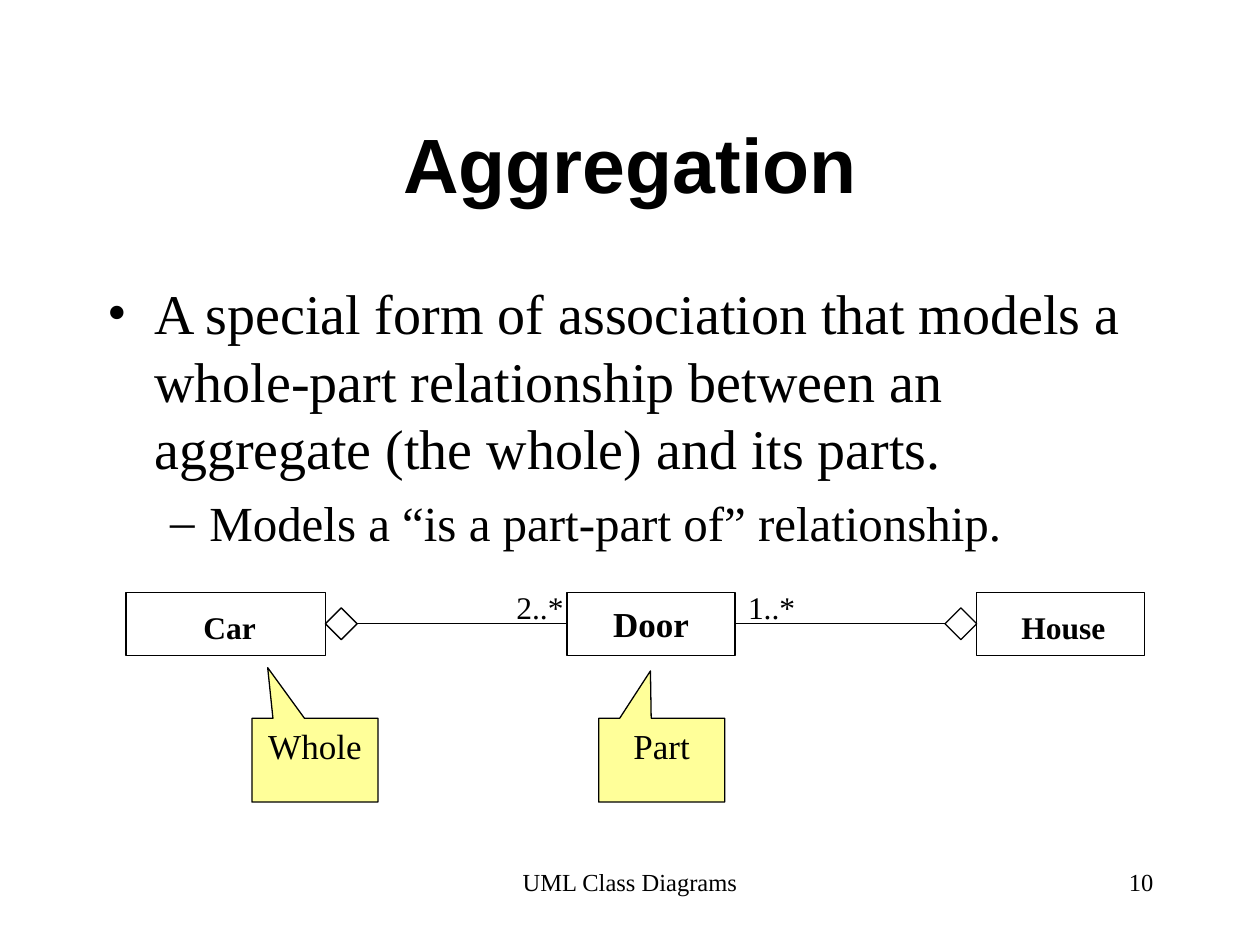
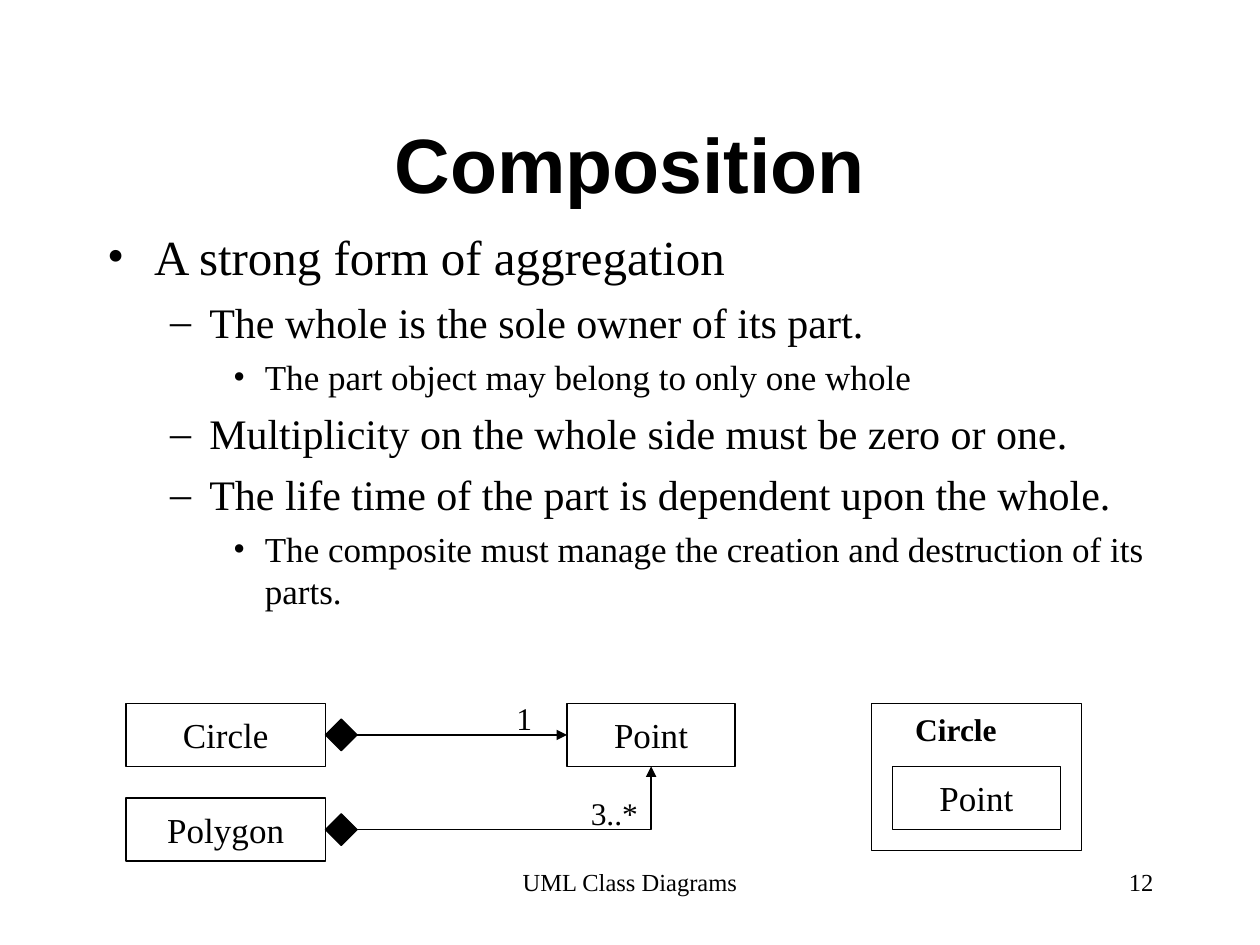
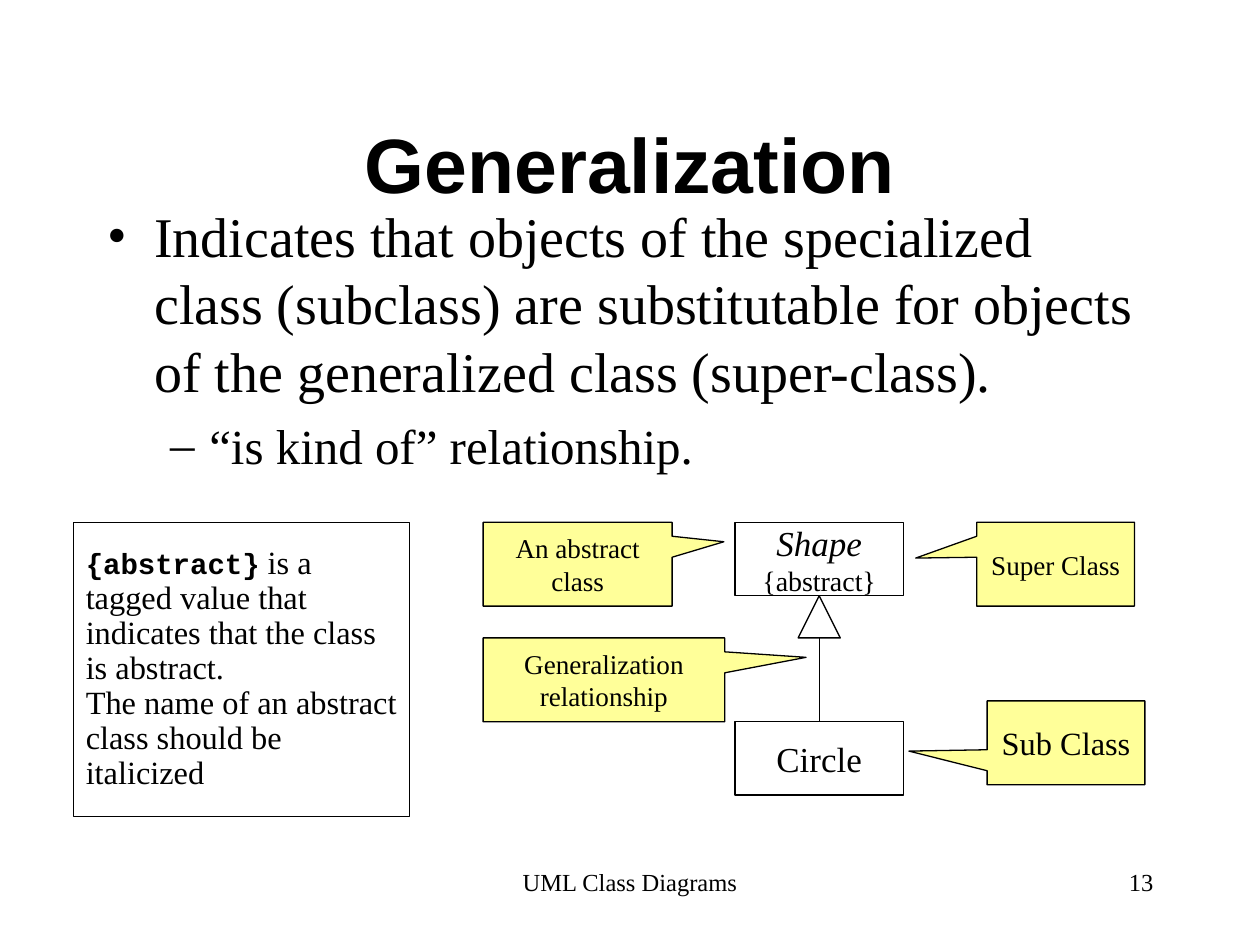
from pptx import Presentation
from pptx.dml.color import RGBColor
from pptx.enum.shapes import MSO_CONNECTOR, MSO_SHAPE
from pptx.enum.text import MSO_ANCHOR, PP_ALIGN
from pptx.oxml.ns import qn
from pptx.util import Cm, Pt
from lxml.etree import SubElement

BLACK = RGBColor(0x00, 0x00, 0x00)
WHITE = RGBColor(0xFF, 0xFF, 0xFF)
NOTE_YELLOW = RGBColor(0xFF, 0xFF, 0x99)

SERIF = {"name": "Times New Roman", "size": Pt(20), "bold": False, "italic": False}
TITLE = {"name": "Arial", "size": Pt(44), "bold": True}
FOOTER = {"size": Pt(14)}
CLASS_BOLD = {"size": Pt(18), "bold": True}
CLASS_DOOR = {"bold": True}
MULTIPLICITY = {"size": Pt(18)}
NOTE_SMALL = {"size": Pt(15.5)}
NOTE_LARGE = {"size": Pt(18.5)}
CODE = {"name": "Courier New", "size": Pt(16.6), "bold": True}

# Left indent, hanging indent (cm) and bullet sign of each body level
LEVELS = [(0.95, -0.95, "•"), (2.06, -0.79, "–"), (3.18, -0.64, "•")]

CLASS_HEIGHT = 1.27
WIDE, NARROW = 4.02, 3.39
DIAMOND = 0.64
DIAMOND_DROP = (CLASS_HEIGHT - DIAMOND) / 2


def add_box(slide, preset, place, runs=(), fill=None, align=PP_ALIGN.CENTER,
            anchor=MSO_ANCHOR.MIDDLE, wrap=True):
    """Add an outlined shape, or a plain text box if preset is None."""
    left, top, width, height = (Cm(value) for value in place)
    if preset is None:
        shape = slide.shapes.add_textbox(left, top, width, height)
    else:
        shape = slide.shapes.add_shape(preset, left, top, width, height)
        shape.shadow.inherit = False
        shape.line.color.rgb = BLACK
        shape.line.width = Pt(0.75)
        if fill is None:
            shape.fill.background()
        else:
            shape.fill.solid()
            shape.fill.fore_color.rgb = fill
    frame = shape.text_frame
    frame.word_wrap = wrap
    frame.vertical_anchor = anchor
    paragraph = frame.paragraphs[0]
    paragraph.alignment = align
    for text, text_format in runs:
        for number, line in enumerate(text.split("\n")):
            if number:
                paragraph.add_line_break()
            if line:
                run = paragraph.add_run()
                run.text = line
                run.font.color.rgb = BLACK
                for key, value in {**SERIF, **text_format}.items():
                    setattr(run.font, key, value)
    return shape


def join(slide, begin, begin_site, end, end_site, arrow=False, elbow=False):
    """Draw a line between connection sites of two shapes."""
    kind = MSO_CONNECTOR.ELBOW if elbow else MSO_CONNECTOR.STRAIGHT
    connector = slide.shapes.add_connector(kind, 0, 0, 0, 0)
    connector.begin_connect(begin, begin_site)
    connector.end_connect(end, end_site)
    connector.line.color.rgb = BLACK
    connector.line.width = Pt(0.75)
    properties = connector._element.spPr
    if elbow:
        properties.find(qn("a:prstGeom")).set("prst", "bentConnector2")
    if arrow:
        SubElement(connector.line._get_or_add_ln(), qn("a:tailEnd"), type="triangle")
    SubElement(properties, qn("a:effectLst"))


presentation = Presentation()
presentation.slide_width = Cm(25.4)
presentation.slide_height = Cm(19.05)

# Shared parts: page number, title, body top and height, body (level, size, text)
pages = [
    (10, "Aggregation", 5.5, 5.93, [
        (0, 32, "A special form of association that models a whole-part relationship "
                "between an aggregate (the whole) and its parts."),
        (1, 28, "Models a “is a part-part of” relationship."),
    ]),
    (12, "Composition", 4.45, 9.1, [
        (0, 28, "A strong form of aggregation"),
        (1, 24, "The whole is the sole owner of its part."),
        (2, 20, "The part object may belong to only one whole"),
        (1, 24, "Multiplicity on the whole side must be zero or one."),
        (1, 24, "The life time of the part is dependent upon the whole."),
        (2, 20, "The composite must manage the creation and destruction of its parts."),
    ]),
    (13, "Generalization", 3.94, 5.93, [
        (0, 32, "Indicates that objects of the specialized class (subclass) are "
                "substitutable for objects of the generalized class (super-class)."),
        (1, 28, "“is kind of” relationship."),
    ]),
]
slides = []
for page_number, title, body_top, body_height, body in pages:
    slide = presentation.slides.add_slide(presentation.slide_layouts[6])
    slide.background.fill.solid()
    slide.background.fill.fore_color.rgb = WHITE
    slides.append(slide)
    add_box(slide, None, (8.68, 17.36, 8.04, 1.27), [("UML Class Diagrams", FOOTER)],
            anchor=MSO_ANCHOR.TOP)
    add_box(slide, None, (18.2, 17.36, 5.3, 1.27), [(str(page_number), FOOTER)],
            align=PP_ALIGN.RIGHT, anchor=MSO_ANCHOR.TOP)
    add_box(slide, None, (1.91, 1.69, 21.59, 3.18), [(title, TITLE)])
    frame = add_box(slide, None, (1.91, body_top, 21.59, body_height),
                    anchor=MSO_ANCHOR.TOP).text_frame
    for number, (level, size, text) in enumerate(body):
        paragraph = frame.add_paragraph() if number else frame.paragraphs[0]
        margin, hanging, bullet = LEVELS[level]
        paragraph.alignment = PP_ALIGN.LEFT
        paragraph.level = level
        paragraph.space_before = Pt(size / 4 if number else 0)
        properties = paragraph._p.get_or_add_pPr()
        properties.set("marL", str(Cm(margin)))
        properties.set("indent", str(Cm(hanging)))
        SubElement(properties, qn("a:buFont"), typeface=SERIF["name"])
        SubElement(properties, qn("a:buChar"), char=bullet)
        run = paragraph.add_run()
        run.text = text
        run.font.color.rgb = BLACK
        for key, value in {**SERIF, "size": Pt(size)}.items():
            setattr(run.font, key, value)

aggregation, composition, generalization = slides

# Aggregation: callouts
for left, text, tip in [(5.08, "Whole", (-0.375, -1.104)),
                        (12.07, "Part", (-0.089, -1.065))]:
    note = add_box(aggregation, MSO_SHAPE.RECTANGULAR_CALLOUT, (left, 14.48, 2.54, 1.69),
                   [(text, {})], NOTE_YELLOW, anchor=MSO_ANCHOR.TOP)
    note.adjustments[0], note.adjustments[1] = tip

# Aggregation: two wholes sharing one part
row = 11.94
door = add_box(aggregation, MSO_SHAPE.RECTANGLE, (11.43, row, NARROW, CLASS_HEIGHT),
               [("Door", CLASS_DOOR)])
for name, left, width, label_left, label_width, diamond_left, whole_site, part_site in [
        ("Car", 2.54, WIDE, 2.79, 3.68, 6.56, 3, 1),
        ("House", 19.69, NARROW, 19.89, 3.1, 19.05, 1, 3)]:
    add_box(aggregation, MSO_SHAPE.RECTANGLE, (left, row, width, CLASS_HEIGHT))
    add_box(aggregation, None, (label_left, 12.14, label_width, 1.02), [(name, CLASS_BOLD)],
            anchor=MSO_ANCHOR.TOP)
    diamond = add_box(aggregation, MSO_SHAPE.DIAMOND,
                      (diamond_left, row + DIAMOND_DROP, DIAMOND, DIAMOND))
    join(aggregation, diamond, whole_site, door, part_site)

# Composition: owners and their shared part
point = add_box(composition, MSO_SHAPE.RECTANGLE, (11.43, 14.18, NARROW, CLASS_HEIGHT),
                [("Point", {})])
for name, top, site, elbow in [("Circle", 14.18, 1, False), ("Polygon", 16.09, 2, True)]:
    add_box(composition, MSO_SHAPE.RECTANGLE, (2.54, top, WIDE, CLASS_HEIGHT), [(name, {})])
    diamond = add_box(composition, MSO_SHAPE.DIAMOND,
                      (6.56, top + DIAMOND_DROP, DIAMOND, DIAMOND), fill=BLACK)
    join(composition, diamond, 3, point, site, arrow=True, elbow=elbow)

# Composition: nested notation
add_box(composition, MSO_SHAPE.RECTANGLE, (17.57, 14.18, 4.23, 2.96))
add_box(composition, MSO_SHAPE.RECTANGLE, (17.99, 15.45, NARROW, CLASS_HEIGHT),
        [("Point", {})])

# Multiplicities and the nested class name
for slide, text, left, top, width, text_format in [
        (aggregation, "1..*", 14.83, 11.73, 1.6, MULTIPLICITY),
        (aggregation, "2..*", 10.16, 11.73, 1.6, MULTIPLICITY),
        (composition, "3..*", 11.66, 15.88, 1.6, MULTIPLICITY),
        (composition, "1", 10.16, 13.97, 0.9, MULTIPLICITY),
        (composition, "Circle", 18.2, 14.18, 2.3, CLASS_BOLD)]:
    add_box(slide, None, (left, top, width, 1.02), [(text, text_format)],
            align=PP_ALIGN.LEFT, anchor=MSO_ANCHOR.TOP, wrap=False)

# Generalization: superclass, triangle and subclass
superclass_runs = [("Shape\n", {"italic": True}), ("{abstract}", {"size": Pt(16)})]
add_box(generalization, MSO_SHAPE.RECTANGLE, (14.82, 10.53, NARROW, 1.48), superclass_runs,
        wrap=False)
add_box(generalization, MSO_SHAPE.ISOSCELES_TRIANGLE, (16.09, 12.01, 0.85, 0.85))
subclass = add_box(generalization, MSO_SHAPE.RECTANGLE, (14.82, 14.55, NARROW, 1.48),
                   [("Circle", {})])
stem = generalization.shapes.add_connector(MSO_CONNECTOR.STRAIGHT, Cm(16.515), Cm(12.86),
                                           Cm(16.515), Cm(14.55))
stem.end_connect(subclass, 0)
stem.line.color.rgb = BLACK
stem.line.width = Pt(0.75)
SubElement(stem._element.spPr, qn("a:effectLst"))

# Generalization: callouts
for text, left, top, width, tip, text_format in [
        ("Super Class", 19.69, 10.53, 3.18, (-0.887, -0.073), NOTE_SMALL),
        ("Sub Class", 19.9, 14.13, 3.18, (-0.996, 0.099), NOTE_LARGE),
        ("An abstract class", 9.74, 10.53, 3.81, (0.774, -0.268), NOTE_SMALL),
        ("Generalization relationship", 9.74, 12.86, 4.87, (0.837, -0.268), NOTE_SMALL)]:
    note = add_box(generalization, MSO_SHAPE.RECTANGULAR_CALLOUT, (left, top, width, 1.69),
                   [(text, text_format)], NOTE_YELLOW)
    note.adjustments[0], note.adjustments[1] = tip

# Generalization: explanation of the tagged value
explanation = add_box(generalization, MSO_SHAPE.RECTANGLE, (1.48, 10.53, 6.77, 5.93), [
    ("{abstract}", CODE),
    (" is a tagged value that indicates that the class is abstract. \n"
     "The name of an abstract class should be italicized", NOTE_LARGE),
], align=PP_ALIGN.LEFT)
explanation.text_frame.paragraphs[0].line_spacing = 0.9

presentation.save("out.pptx")
